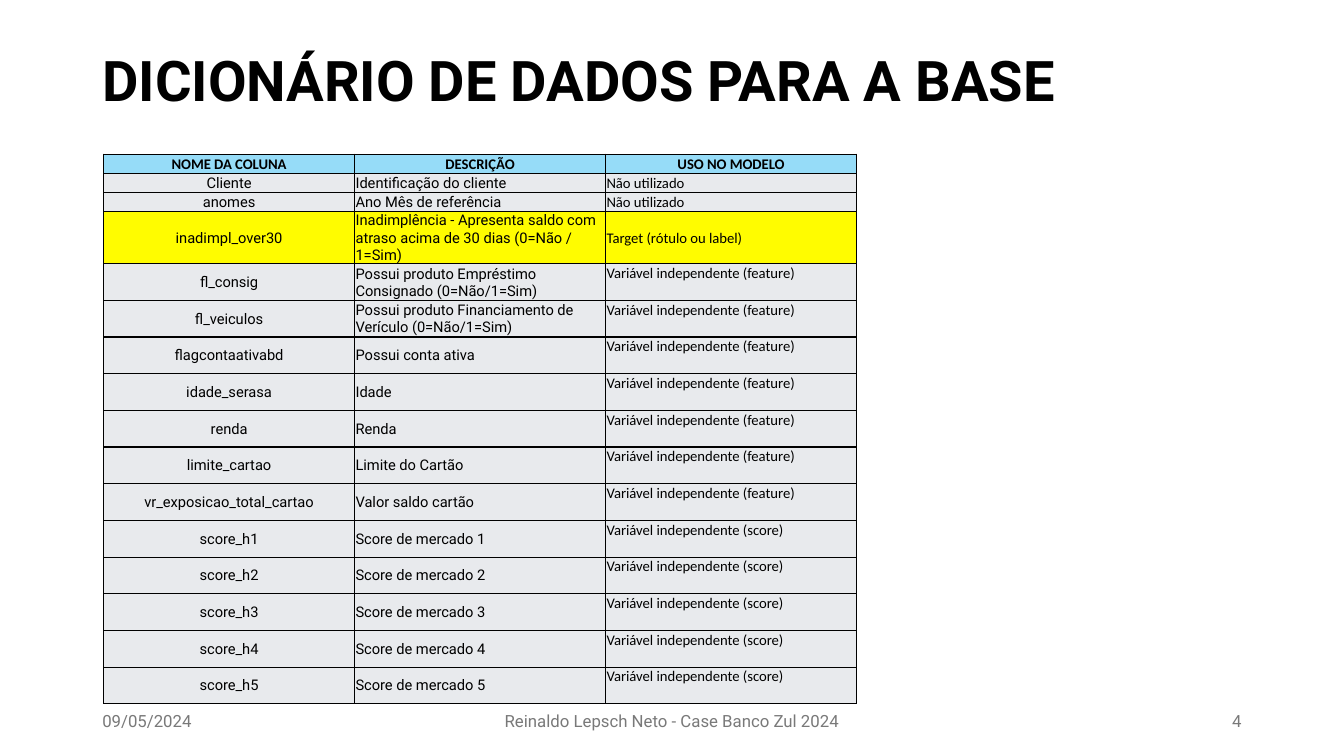
from lxml import etree
from pptx import Presentation
from pptx.dml.color import RGBColor
from pptx.enum import text
from pptx.oxml import parse_xml
from pptx.oxml.ns import nsdecls
from pptx.util import Pt

COLORS = {"ink": "000000", "footer": "797979", "header": "96DCF8",
          "row": "E8EAED", "target": "FFFC00"}
LEFT, CENTER, RIGHT = (text.PP_ALIGN.LEFT, text.PP_ALIGN.CENTER, text.PP_ALIGN.RIGHT)
TOP, MIDDLE = text.MSO_ANCHOR.TOP, text.MSO_ANCHOR.MIDDLE

HEADER = ("NOME DA COLUNA", "DESCRIÇÃO", "USO NO MODELO")
FEATURE = "Variável independente (feature)"
SCORE = "Variável independente (score)"
UNUSED = "Não utilizado"
TARGET = "Target (rótulo ou label)"
VARIABLES = [
    ("Cliente", "Identificação do cliente", UNUSED),
    ("anomes", "Ano Mês de referência", UNUSED),
    ("inadimpl_over30",
     "Inadimplência - Apresenta saldo com atraso acima de 30 dias (0=Não / 1=Sim)", TARGET),
    ("fl_consig", "Possui produto Empréstimo Consignado (0=Não/1=Sim)", FEATURE),
    ("fl_veiculos", "Possui produto Financiamento de Verículo (0=Não/1=Sim)", FEATURE),
    ("flagcontaativabd", "Possui conta ativa", FEATURE),
    ("idade_serasa", "Idade", FEATURE),
    ("renda", "Renda", FEATURE),
    ("limite_cartao", "Limite do Cartão", FEATURE),
    ("vr_exposicao_total_cartao", "Valor saldo cartão", FEATURE),
] + [(f"score_h{n}", f"Score de mercado {n}", SCORE) for n in range(1, 6)]
ROW_HEIGHTS = {UNUSED: 13.6, TARGET: 37.4, FEATURE: 26.2, SCORE: 26.2}
HEADER_HEIGHT = 13.6


def write(frame, words, size, font, color, align=LEFT, bold=False):
    frame.text = words
    para = frame.paragraphs[0]
    para.alignment = align
    span = para.runs[0].font
    span.size, span.name, span.bold = Pt(size), font, bold
    span.color.rgb = RGBColor.from_string(COLORS[color])


def add_title(page, words, left, top, width, height):
    title = page.shapes.title
    title.left, title.top, title.width, title.height = map(Pt, (left, top, width, height))
    frame = title.text_frame
    frame.vertical_anchor = TOP
    frame.margin_top = Pt(9)
    write(frame, words, 40, "Roboto", "ink", bold=True)
    frame.paragraphs[0].line_spacing = 0.9


def format_cell(cell, words, fill, font, align, bold=False, anchor=MIDDLE):
    cell.margin_left = cell.margin_right = cell.margin_top = Pt(0.7)
    cell.margin_bottom = Pt(0)
    cell.vertical_anchor = anchor
    cell.fill.solid()
    cell.fill.fore_color.rgb = RGBColor.from_string(COLORS[fill])
    write(cell.text_frame, words, 10.5, font, "ink", align, bold)
    # Borders come before the fill in the cell properties
    properties = cell._tc.get_or_add_tcPr()
    for index, side in enumerate(("lnL", "lnR", "lnT", "lnB")):
        border = parse_xml(f'<a:{side} {nsdecls("a")} w="12700"/>')
        paint = etree.SubElement(border, border.tag.replace(side, "solidFill"))
        etree.SubElement(paint, border.tag.replace(side, "srgbClr"), val=COLORS["ink"])
        properties.insert(index, border)


def add_dictionary(page, left, top, width):
    heights = [HEADER_HEIGHT] + [ROW_HEIGHTS[use] for _, _, use in VARIABLES]
    table = page.shapes.add_table(len(heights), len(HEADER), Pt(left), Pt(top),
                                  Pt(width), Pt(sum(heights))).table
    for column in table.columns:
        column.width = Pt(width / len(HEADER))
    for row, height in zip(table.rows, heights):
        row.height = Pt(height)

    # Header row
    for cell, words in zip(table.rows[0].cells, HEADER):
        format_cell(cell, words, "header", "Calibri", CENTER, bold=True)

    # One row per variable
    for index, (name, description, use) in enumerate(VARIABLES, 1):
        fill = "target" if use == TARGET else "row"
        anchor = TOP if use in (FEATURE, SCORE) else MIDDLE
        name_cell, description_cell, use_cell = table.rows[index].cells
        format_cell(name_cell, name, fill, "Roboto", CENTER)
        format_cell(description_cell, description, fill, "Roboto", LEFT)
        format_cell(use_cell, use, fill, "Calibri", LEFT, anchor=anchor)


def add_footer(page, left, top, width, height):
    side, middle = 216, 324
    parts = [
        ("09/05/2024", left, side, LEFT),
        ("Reinaldo Lepsch Neto - Case Banco Zul 2024",
         left + (width - middle) / 2, middle, CENTER),
        ("4", left + width - side, side, RIGHT),
    ]
    for words, x, part_width, align in parts:
        box = page.shapes.add_textbox(Pt(x), Pt(top), Pt(part_width), Pt(height))
        box.text_frame.word_wrap = True
        box.text_frame.vertical_anchor = MIDDLE
        write(box.text_frame, words, 12, "Roboto", "footer", align)


def main():
    deck = Presentation()
    deck.slide_width, deck.slide_height = Pt(960), Pt(540)
    page = deck.slides.add_slide(deck.slide_layouts[5])
    add_title(page, "DICIONÁRIO DE DADOS PARA A BASE", 66, 28.8, 828, 104.4)
    add_dictionary(page, 74, 110.2, 537.9)
    add_footer(page, 66, 500.5, 828, 28.8)
    deck.save("out.pptx")


if __name__ == "__main__":
    main()
